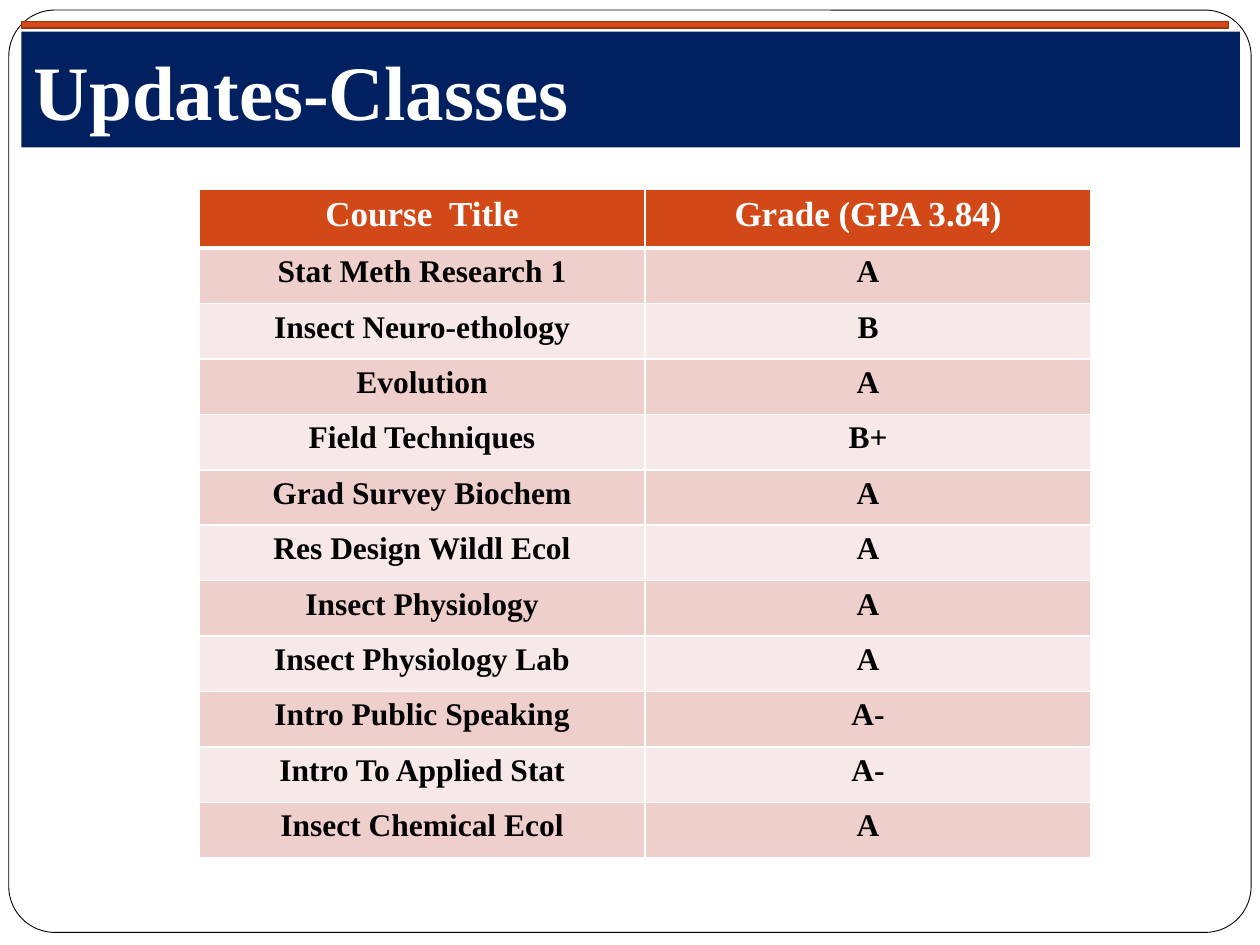
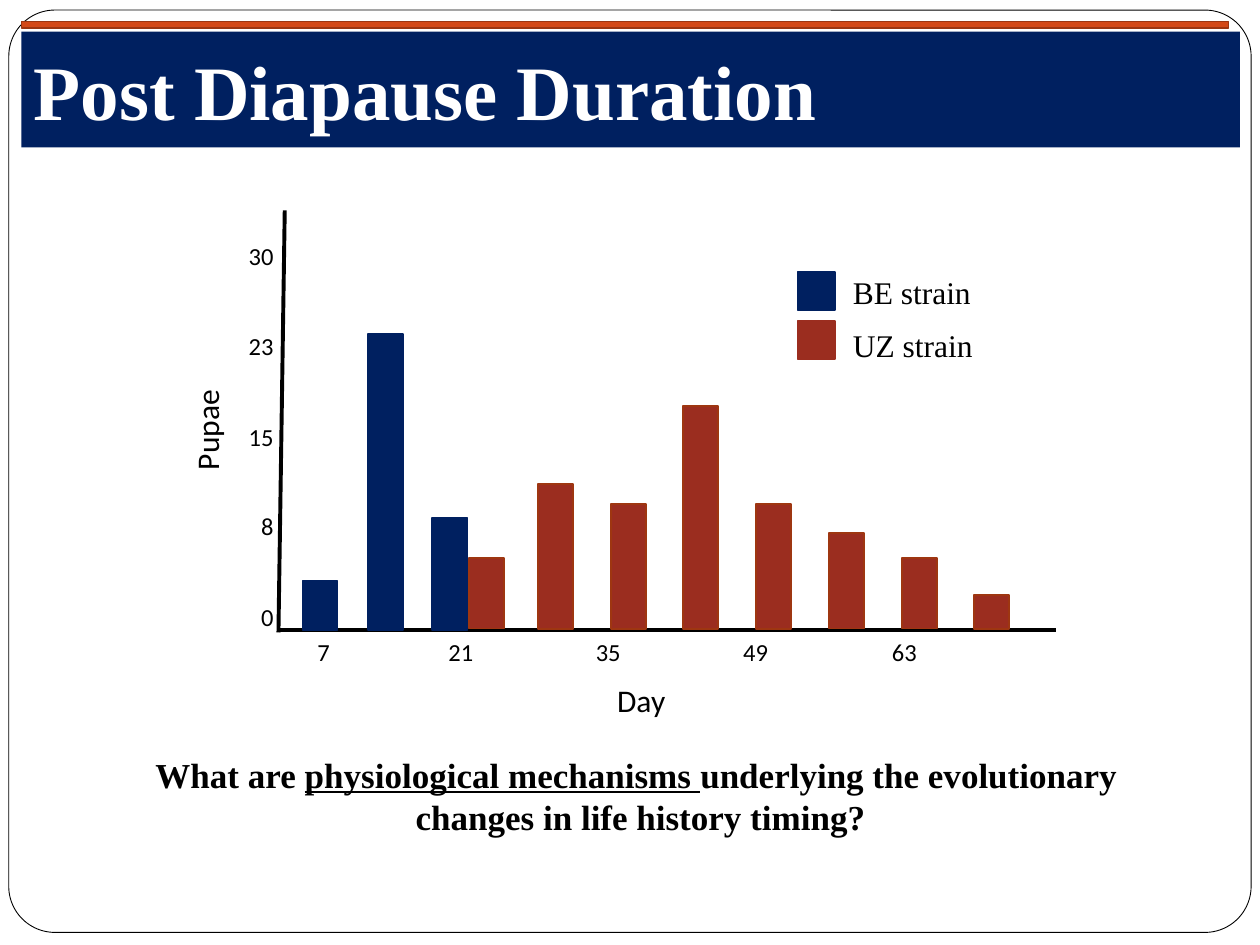
from dataclasses import dataclass

from lxml import etree
from pptx import Presentation
from pptx.dml.color import RGBColor
from pptx.enum.shapes import MSO_CONNECTOR, MSO_SHAPE
from pptx.enum.text import MSO_ANCHOR, MSO_AUTO_SIZE, PP_ALIGN
from pptx.oxml.ns import qn
from pptx.util import Pt

RECTANGLE = MSO_SHAPE.RECTANGLE
ROUNDED = MSO_SHAPE.ROUNDED_RECTANGLE
STRAIGHT = MSO_CONNECTOR.STRAIGHT
LEFT, CENTER, RIGHT = PP_ALIGN.LEFT, PP_ALIGN.CENTER, PP_ALIGN.RIGHT
TOP, MIDDLE = MSO_ANCHOR.TOP, MSO_ANCHOR.MIDDLE
GROW = MSO_AUTO_SIZE.SHAPE_TO_FIT_TEXT
EMU_PER_PX = 9144


@dataclass(frozen=True)
class Theme:
    serif: str = "Times New Roman"
    sans: str = "Calibri"
    white: str = "FFFFFF"
    black: str = "000000"
    navy: str = "002060"
    orange: str = "D34817"
    orange_edge: str = "9C3511"
    brick: str = "9B2D1F"
    brick_edge: str = "9E3611"
    rows: tuple = ("EFCFCC", "F7E9E8")
    title_size: int = 44
    strong_size: int = 20
    body_size: int = 18
    tick_size: int = 14


THEME = Theme()
TITLE = {"name": THEME.serif, "size": THEME.title_size, "bold": True, "color": THEME.white}
HEADER = {**TITLE, "size": THEME.strong_size}
QUESTION = {**HEADER, "color": THEME.black}
CELL = {**QUESTION, "size": THEME.body_size}
LEGEND = {"name": THEME.serif, "size": THEME.body_size, "color": THEME.black}
AXIS_TITLE = {**LEGEND, "name": THEME.sans}
TICK = {**AXIS_TITLE, "size": THEME.tick_size}

CLASSES_TITLE = "Updates-Classes"
COURSES = [
    ("Course  Title", "Grade (GPA 3.84)"),
    ("Stat Meth Research 1", "A"),
    ("Insect Neuro-ethology", "B"),
    ("Evolution", "A"),
    ("Field Techniques", "B+"),
    ("Grad Survey Biochem", "A"),
    ("Res Design Wildl Ecol", "A"),
    ("Insect Physiology", "A"),
    ("Insect Physiology Lab", "A"),
    ("Intro Public Speaking", "A-"),
    ("Intro To Applied Stat", "A-"),
    ("Insect Chemical Ecol", "A"),
]

DURATION_TITLE = "Post Diapause Duration"
AXES = [((222, 500), (838, 500)), ((226, 167), (221, 502))]
STRAINS = [
    {
        "label": "BE strain", "fill": THEME.navy, "edge": THEME.navy, "base": 500,
        "lefts": [240, 292, 343], "heights": [39, 235, 89],
        "key_top": 216, "label_top": 212, "label_width": 114,
    },
    {
        "label": "UZ strain", "fill": THEME.brick, "edge": THEME.brick_edge, "base": 499,
        "lefts": [372] + [round(427 + 57.7 * step) for step in range(7)],
        "heights": [56, 115, 99, 177, 99, 76, 56, 27],
        "key_top": 255, "label_top": 254, "label_width": 121,
    },
]
BAR_WIDTH = 28
DAY_TICKS = [("7", 242), ("21", 346), ("35", 463), ("49", 580), ("63", 698)]
PUPAE_TICKS = ["0", "8", "15", "23", "30"]
QUESTION_LINES = [
    [("What are ", False), ("physiological mechanisms ", True),
     ("underlying the evolutionary ", False)],
    [("changes in life history timing?", False)],
]


def px(*lengths):
    return [round(length * EMU_PER_PX) for length in lengths]


def rgb(color):
    return RGBColor.from_string(color)


def add_span(para, text, style, **extra):
    span = para.add_run()
    span.text = text
    for name, value in {**style, **extra}.items():
        if name == "color":
            span.font.color.rgb = rgb(value)
        else:
            setattr(span.font, name, Pt(value) if name == "size" else value)


def add_box(page, place, fill, edge=None, width=1, kind=RECTANGLE):
    box = page.shapes.add_shape(kind, *px(*place))
    box.shadow.inherit = False
    box.fill.solid()
    box.fill.fore_color.rgb = rgb(fill)
    if edge:
        box.line.color.rgb = rgb(edge)
        box.line.width = Pt(width)
    else:
        box.line.fill.background()
    return box


def add_label(page, place, lines, style, align=LEFT, wrap=False):
    box = page.shapes.add_textbox(*px(*place))
    frame = box.text_frame
    frame.word_wrap = wrap
    frame.auto_size = GROW
    frame.vertical_anchor = TOP
    for index, spans in enumerate(lines):
        para = frame.add_paragraph() if index else frame.paragraphs[0]
        para.alignment = align
        for text, underline in spans:
            add_span(para, text, style, underline=underline)
    return box


def add_word(page, place, text, style, align=LEFT):
    return add_label(page, place, [[(text, False)]], style, align)


def add_page(deck, title):
    page = deck.slides.add_slide(deck.slide_layouts[6])
    outline = add_box(page, (7, 8, 986, 732), THEME.white, THEME.black, 0.5, ROUNDED)
    outline.adjustments[0] = 0.05
    band = add_box(page, (17, 25, 967, 92), THEME.navy)
    band.text_frame.word_wrap = True
    band.text_frame.vertical_anchor = MIDDLE
    para = band.text_frame.paragraphs[0]
    para.alignment = LEFT
    add_span(para, title, TITLE)
    add_box(page, (17, 17, 958, 5), THEME.orange, THEME.orange_edge)
    return page


def add_borders(cell, widths):
    properties = cell._tc.get_or_add_tcPr()
    for side, width in widths.items():
        line = etree.SubElement(properties, qn(f"a:ln{side}"), w=str(Pt(width)))
        fill = etree.SubElement(line, qn("a:solidFill"))
        etree.SubElement(fill, qn("a:srgbClr"), val=THEME.white)


def add_courses(page):
    heights = [47] + [44] * (len(COURSES) - 1)
    place = (158, 150, 708, sum(heights))
    table = page.shapes.add_table(len(COURSES), 2, *px(*place)).table
    for column in table.columns:
        column.width = px(354)[0]
    for index, (values, height) in enumerate(zip(COURSES, heights)):
        table.rows[index].height = px(height)[0]
        for column, value in enumerate(values):
            cell = table.cell(index, column)
            add_borders(cell, {"L": 1, "R": 1, "T": 3 if index == 1 else 1,
                               "B": 1 if index else 3})
            cell.fill.solid()
            cell.fill.fore_color.rgb = rgb(THEME.rows[(index - 1) % 2] if index else THEME.orange)
            para = cell.text_frame.paragraphs[0]
            para.alignment = CENTER
            add_span(para, value, CELL if index else HEADER)


def add_axis(page, start, end):
    axis = page.shapes.add_connector(STRAIGHT, *px(*start, *end))
    axis.line.color.rgb = rgb(THEME.black)
    axis.line.width = Pt(2.25)
    etree.SubElement(axis._element.spPr, qn("a:effectLst"))


def tick_width(text):
    return 34 if len(text) == 1 else 45


def add_histogram(page):
    for start, end in AXES:
        add_axis(page, start, end)
    for strain in STRAINS:
        for left, height in zip(strain["lefts"], strain["heights"]):
            place = (left, strain["base"] - height, BAR_WIDTH, height)
            add_box(page, place, strain["fill"], strain["edge"])
        add_box(page, (633, strain["key_top"], 30, 30), strain["fill"], strain["fill"])
        place = (667, strain["label_top"], strain["label_width"], 54)
        add_word(page, place, strain["label"], LEGEND)
    for text, left in DAY_TICKS:
        add_word(page, (left, 501, tick_width(text), 45), text, TICK)
    for step, text in enumerate(PUPAE_TICKS):
        width = tick_width(text)
        add_word(page, (227 - width, round(473 - 71.75 * step), width, 45), text, TICK, RIGHT)
    add_word(page, (480, 536, 66, 54), "Day", AXIS_TITLE)
    add_word(page, (110, 304, 113, 45), "Pupae", AXIS_TITLE).rotation = 270


def main():
    deck = Presentation()
    deck.slide_width, deck.slide_height = px(1000, 750)
    add_courses(add_page(deck, CLASSES_TITLE))
    page = add_page(deck, DURATION_TITLE)
    add_histogram(page)
    add_label(page, (112, 593, 793, 77), QUESTION_LINES, QUESTION, CENTER, wrap=True)
    deck.save("out.pptx")


if __name__ == "__main__":
    main()
